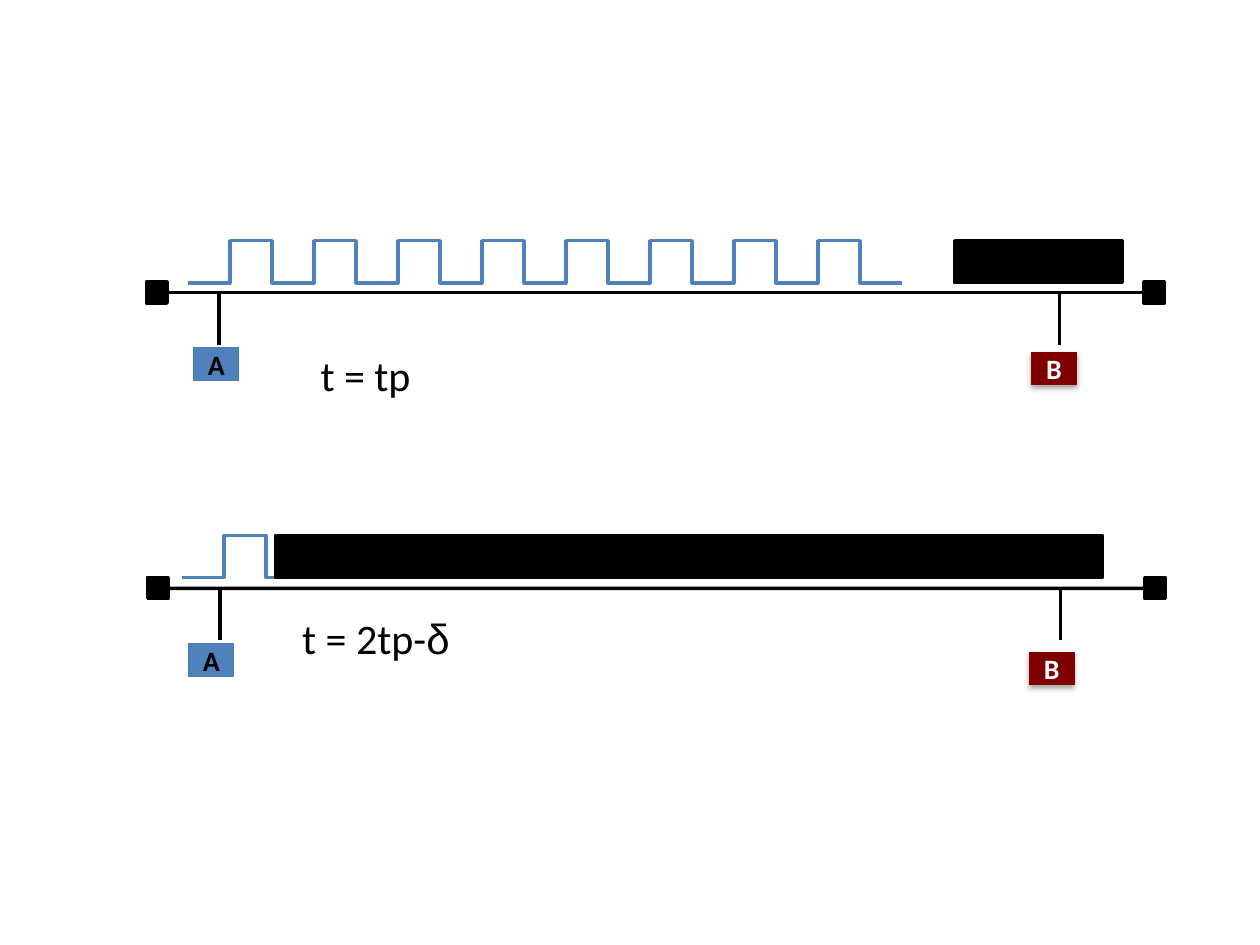
import lxml.etree
import pptx
import pptx.dml.color
import pptx.enum.dml
import pptx.enum.shapes
import pptx.enum.text
import pptx.oxml
import pptx.oxml.ns
import pptx.util

Cm, Pt = pptx.util.Cm, pptx.util.Pt
RGBColor = pptx.dml.color.RGBColor
RECT = pptx.enum.shapes.MSO_SHAPE.RECTANGLE
STRAIGHT = pptx.enum.shapes.MSO_CONNECTOR.STRAIGHT
BLACK = RGBColor(0x00, 0x00, 0x00)
WHITE = RGBColor(0xFF, 0xFF, 0xFF)
BLUE = RGBColor(0x4F, 0x81, 0xBD)
BLUE_EDGE = RGBColor(0x4B, 0x7E, 0xBC)
DARK_RED = RGBColor(0x80, 0x00, 0x00)

STEP = 2.54 / 3       # width and height of one pulse level, cm
TERMINAL = 0.42       # side of the cable's end squares, cm
SHADOW = (
    '<a:outerShdw %s blurRad="39370" dist="22860" dir="5400000" rotWithShape="0">'
    '<a:srgbClr val="000000"><a:alpha val="35000"/></a:srgbClr></a:outerShdw>'
    % pptx.oxml.ns.nsdecls("a")
)

# One cable per moment in time, lengths in cm
cables = [
    dict(x=2.95, y=5.9, pulses=[(3.79, 3), (8.87, 3), (13.95, 2)], low=5.7,
         jam=(19.25, 3.38), a=(3.91, 7.01), b=(20.8, 7.11),
         caption=(6.2, 6.93, 2.34), text=[("t = tp", "Calibri")]),
    dict(x=2.97, y=11.86, pulses=[(3.67, 2)], low=11.64,
         jam=(5.56, 16.66), a=(3.81, 12.98), b=(20.75, 13.16),
         caption=(5.84, 12.22, 3.48), text=[("t = 2tp-", "Calibri"), ("δ", "Arial")]),
]


def add_rect(x, y, w, h, fill, edge, width):
    s = slide.shapes.add_shape(RECT, Cm(x), Cm(y), Cm(w), Cm(h))
    s.shadow.inherit = False
    s.fill.solid()
    s.fill.fore_color.rgb = fill
    s.line.color.rgb = edge
    s.line.width = Pt(width)
    return s


def add_line(x1, y1, x2, y2):
    s = slide.shapes.add_connector(STRAIGHT, Cm(x1), Cm(y1), Cm(x2), Cm(y2))
    s.line.color.rgb = BLACK
    s.line.width = Pt(2)
    lxml.etree.SubElement(s._element.spPr, pptx.oxml.ns.qn("a:effectLst"))
    return s


prs = pptx.Presentation()
prs.slide_width, prs.slide_height = Cm(25.4), Cm(19.05)
slide = prs.slides.add_slide(prs.slide_layouts[6])

for cable in cables:
    x, y, low = cable["x"], cable["y"], cable["low"]

    # Cable with its two terminals and a drop to each station
    left, right = [
        add_rect(tx, y - TERMINAL / 2, TERMINAL, TERMINAL, BLACK, BLACK, 2)
        for tx in (x, x + 20.11)
    ]
    add_line(x, y, x + 20.32, y).begin_connect(left, 1)
    for drop in (x + 1.47, x + 18.41):
        add_line(drop, y, drop, y + 1.05)

    # Square wave sent by station A
    for start, count in cable["pulses"]:
        points = []
        for i in range(2 * count + 1):
            level = low - STEP * (i % 2)
            points += [(Cm(start + STEP * i), Cm(level)),
                       (Cm(start + STEP * (i + 1)), Cm(level))]
        builder = slide.shapes.build_freeform(*points[0])
        builder.add_line_segments(points[1:], close=False)
        s = builder.convert_to_shape()
        s.shadow.inherit = False
        s.fill.background()
        s.line.color.rgb = BLUE
        s.line.width = Pt(2)

    # Hatched signal sent by station B
    jam_x, jam_w = cable["jam"]
    s = add_rect(jam_x, low - STEP, jam_w, STEP, BLACK, BLACK, 2)
    s.fill.patterned()
    s.fill.pattern = pptx.enum.dml.MSO_PATTERN.WIDE_UPWARD_DIAGONAL
    s.fill.fore_color.rgb = BLACK
    s.fill.back_color.rgb = BLACK

    # Stations
    for name, pos, h, fill, edge, ink in (
        ("A", cable["a"], 0.66, BLUE, BLUE_EDGE, BLACK),
        ("B", cable["b"], 0.64, DARK_RED, DARK_RED, WHITE),
    ):
        s = add_rect(*pos, 0.9, h, fill, edge, 0.75)
        if name == "B":
            effects = s._element.spPr.find(pptx.oxml.ns.qn("a:effectLst"))
            effects.append(pptx.oxml.parse_xml(SHADOW))
        tf = s.text_frame
        tf.margin_left = tf.margin_right = tf.margin_top = tf.margin_bottom = 0
        tf.word_wrap = False
        tf.vertical_anchor = pptx.enum.text.MSO_ANCHOR.MIDDLE
        p = tf.paragraphs[0]
        p.alignment = pptx.enum.text.PP_ALIGN.CENTER
        r = p.add_run()
        r.text = name
        r.font.name, r.font.size, r.font.bold = "Calibri", Pt(16), True
        r.font.color.rgb = ink

    # Time caption
    cap_x, cap_y, cap_w = cable["caption"]
    tf = slide.shapes.add_textbox(Cm(cap_x), Cm(cap_y), Cm(cap_w), Cm(1.28)).text_frame
    tf.word_wrap = False
    tf.auto_size = pptx.enum.text.MSO_AUTO_SIZE.SHAPE_TO_FIT_TEXT
    p = tf.paragraphs[0]
    p.alignment = pptx.enum.text.PP_ALIGN.CENTER
    for text, font in cable["text"]:
        r = p.add_run()
        r.text = text
        r.font.name, r.font.size = font, Pt(24)
        r.font.color.rgb = BLACK

prs.save("out.pptx")
